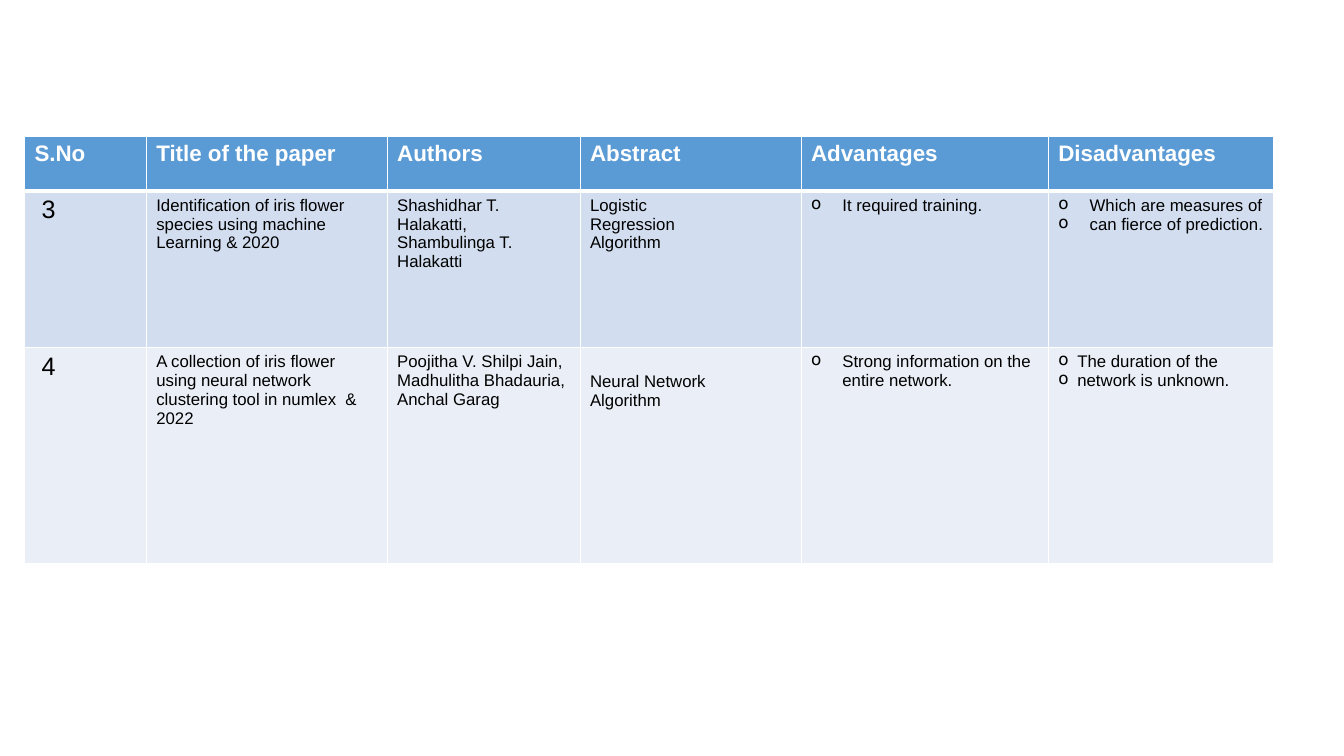
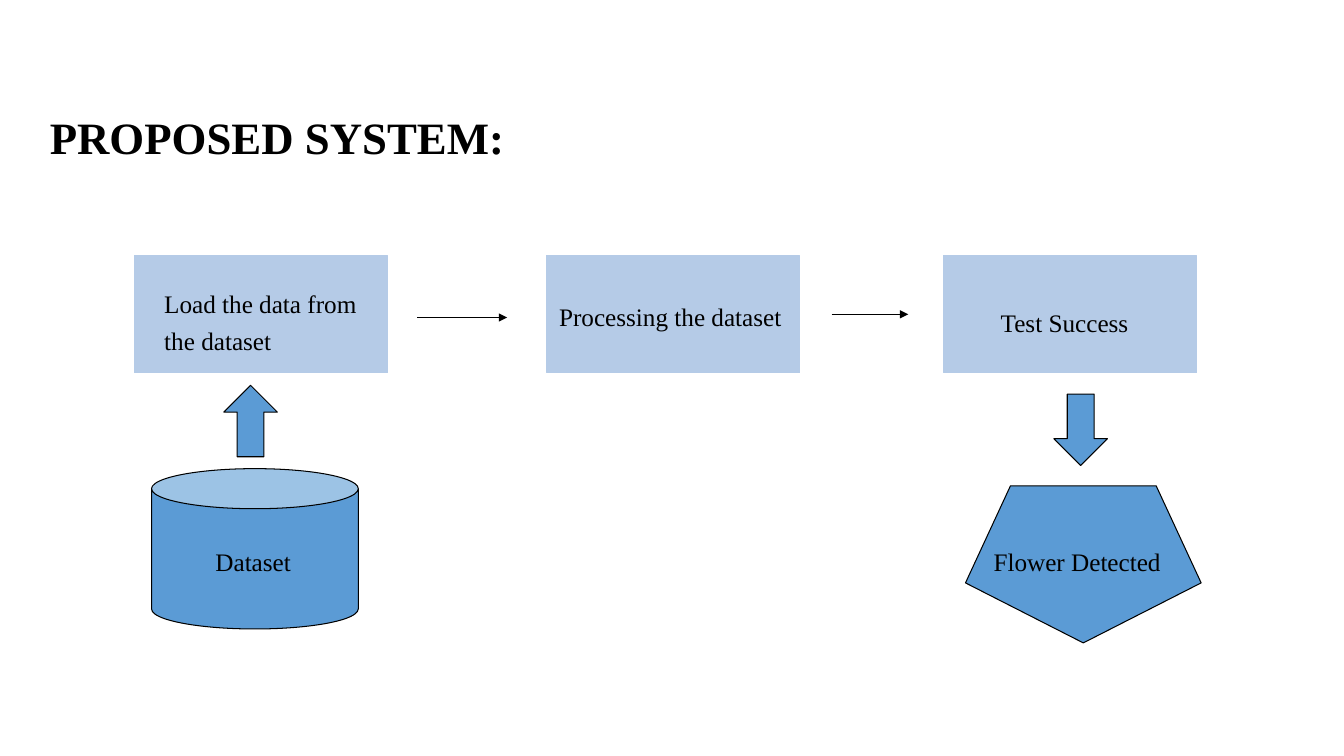
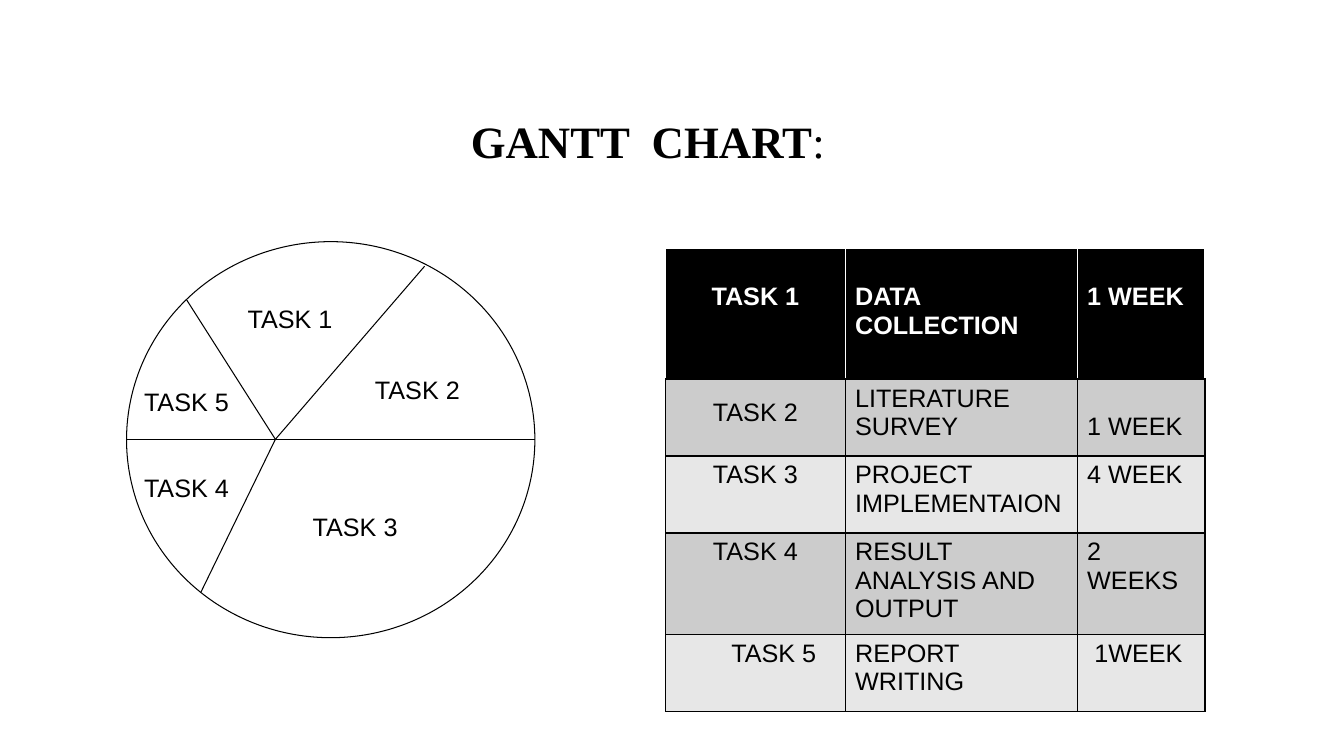
from dataclasses import dataclass

from lxml import etree
from pptx import Presentation
from pptx import util as u
from pptx.dml.color import RGBColor
from pptx.enum import shapes, text
from pptx.oxml import ns


class Theme:
    black = RGBColor(0x00, 0x00, 0x00)
    white = RGBColor(0xFF, 0xFF, 0xFF)
    blue = RGBColor(0x5B, 0x9B, 0xD5)
    pale_blue = RGBColor(0xB5, 0xCB, 0xE7)
    blue_bands = (RGBColor(0xD2, 0xDE, 0xEF), RGBColor(0xEA, 0xEF, 0xF7))
    grey_bands = (RGBColor(0xCC, 0xCC, 0xCC), RGBColor(0xE7, 0xE7, 0xE7))
    sans = "Arial"
    serif = "Times New Roman"
    title_size = 32
    label_size = 18
    header_size = 16
    small_size = 12
    line_width = 0.75


@dataclass
class Cell:
    text: str
    size: int = Theme.small_size
    left: float = 0.25
    top: float = 0.13
    hang: float = 0
    align: text.PP_ALIGN = text.PP_ALIGN.LEFT
    spacing: float = 1.0


class Deck:
    def __init__(self, theme):
        self.theme = theme
        self.presentation = Presentation()
        self.presentation.slide_width = u.Cm(33.87)
        self.presentation.slide_height = u.Cm(19.05)
        self.slide = None

    def add_slide(self, layout):
        layouts = self.presentation.slide_layouts
        self.slide = self.presentation.slides.add_slide(layouts.get_by_name(layout))

    def set_font(self, paragraph, size, name, color=None, bold=False):
        font = paragraph.font
        font.size, font.name, font.bold = u.Pt(size), name, bold
        font.color.rgb = color or self.theme.black

    def title(self, words, left, top, width, light_ending=""):
        shape = self.slide.shapes.title
        shape.left, shape.top = u.Cm(left), u.Cm(top)
        shape.width, shape.height = u.Cm(width), u.Cm(1.63)
        frame = shape.text_frame
        frame.auto_size = text.MSO_AUTO_SIZE.NONE
        frame.vertical_anchor = text.MSO_ANCHOR.TOP
        paragraph = frame.paragraphs[0]
        paragraph.alignment = text.PP_ALIGN.LEFT
        self.set_font(paragraph, self.theme.title_size, self.theme.serif, bold=True)
        paragraph.add_run().text = words
        if light_ending:
            run = paragraph.add_run()
            run.text = light_ending
            run.font.bold = False

    def label(self, words, left, top, width, height, font, spacing=1.0):
        box = self.slide.shapes.add_textbox(*map(u.Cm, (left, top, width, height)))
        box.text_frame.word_wrap = True
        paragraph = box.text_frame.paragraphs[0]
        paragraph.text = words
        paragraph.line_spacing = spacing
        self.set_font(paragraph, self.theme.label_size, font)

    def shape(self, kind, left, top, width, height, fill=None, line=None, rotation=0):
        shape = self.slide.shapes.add_shape(
            kind, *map(u.Cm, (left, top, width, height)))
        shape.shadow.inherit = False
        shape.rotation = rotation
        if fill is None:
            shape.fill.background()
        else:
            shape.fill.solid()
            shape.fill.fore_color.rgb = fill
        shape.line.color.rgb = line or self.theme.black
        shape.line.width = u.Pt(self.theme.line_width)

    def line(self, start, end, arrow=False):
        connector = self.slide.shapes.add_connector(
            shapes.MSO_CONNECTOR.STRAIGHT, *map(u.Cm, (*start, *end)))
        connector.line.color.rgb = self.theme.black
        connector.line.width = u.Pt(self.theme.line_width)
        properties = connector._element.spPr
        if arrow:
            etree.SubElement(properties.find(ns.qn("a:ln")),
                             ns.qn("a:tailEnd"), type="triangle")
        etree.SubElement(properties, ns.qn("a:effectLst"))

    def borders(self, cell, color, bottom_color, bottom_width):
        properties = cell._tc.get_or_add_tcPr()
        for side in "LRTB":
            is_bottom = side == "B"
            width = bottom_width if is_bottom else 1
            edge = etree.SubElement(
                properties, ns.qn(f"a:ln{side}"), w=str(u.Pt(width)))
            fill = etree.SubElement(edge, ns.qn("a:solidFill"))
            etree.SubElement(fill, ns.qn("a:srgbClr"),
                             val=str(bottom_color if is_bottom else color))

    def bullet(self, paragraph, hang):
        properties = paragraph._p.get_or_add_pPr()
        properties.set("marL", str(u.Cm(hang)))
        properties.set("indent", str(-u.Cm(hang)))
        mark = etree.Element(ns.qn("a:buChar"), char="o")
        properties.find(ns.qn("a:defRPr")).addprevious(mark)

    def fill_cell(self, cell, content, color, bold):
        cell.text = content.text
        cell.margin_left, cell.margin_top = u.Cm(content.left), u.Cm(content.top)
        for paragraph in cell.text_frame.paragraphs:
            paragraph.alignment = content.align
            paragraph.line_spacing = content.spacing
            self.set_font(paragraph, content.size, self.theme.sans, color, bold)
            if content.hang:
                self.bullet(paragraph, content.hang)

    def table(self, left, top, widths, heights, rows, header_fill, bands,
              rule, header_rule_width):
        frame = self.slide.shapes.add_table(
            len(rows), len(widths),
            *map(u.Cm, (left, top, sum(widths), sum(heights))))
        table = frame.table
        table.horz_banding = False
        for column, width in zip(table.columns, widths):
            column.width = u.Cm(width)
        for index, (row, height) in enumerate(zip(table.rows, heights)):
            row.height = u.Cm(height)
            header = index == 0
            fill = header_fill if header else bands[(index - 1) % len(bands)]
            for cell, content in zip(row.cells, rows[index]):
                self.borders(cell, self.theme.white if header else rule,
                             rule, header_rule_width if header else 1)
                cell.fill.solid()
                cell.fill.fore_color.rgb = fill
                color = self.theme.white if header else self.theme.black
                self.fill_cell(cell, content, color, header)


def add_literature_slide(deck):
    theme = deck.theme
    deck.add_slide("Blank")
    headings = ("S.No", "Title of the paper", "Authors", "Abstract",
                "Advantages", "Disadvantages")
    rows = [
        [Cell(heading, theme.header_size) for heading in headings],
        [
            Cell("3", theme.label_size, left=0.43),
            Cell("Identification of iris flower\nspecies using machine\n"
                 "Learning & 2020"),
            Cell("Shashidhar T. Halakatti,\nShambulinga T. Halakatti"),
            Cell("Logistic\nRegression\nAlgorithm"),
            Cell("It required training.", hang=0.79),
            Cell("Which are measures of\ncan fierce of prediction.", hang=0.79),
        ],
        [
            Cell("4", theme.label_size, left=0.43),
            Cell("A collection of iris flower\nusing neural network\n"
                 "clustering tool in numlex  & 2022"),
            Cell("Poojitha V. Shilpi Jain,\nMadhulitha Bhadauria,\nAnchal Garag"),
            Cell("Neural Network\nAlgorithm", top=0.63),
            Cell("Strong information on the entire network.", hang=0.79),
            Cell("The duration of the\nnetwork is unknown.", hang=0.48),
        ],
    ]
    deck.table(0.62, 3.44, (3.07, 6.07, 4.86, 5.57, 6.23, 5.68),
               (1.37, 3.94, 5.46), rows, theme.blue, theme.blue_bands,
               theme.white, 3)


def add_system_slide(deck):
    theme = deck.theme
    kinds = shapes.MSO_SHAPE
    deck.add_slide("Title Only")
    deck.title("PROPOSED SYSTEM:", 1, 2.64, 25.65)

    for left in (3.39, 13.78, 23.78):
        deck.shape(kinds.RECTANGLE, left, 6.45, 6.38, 2.95,
                   theme.pale_blue, theme.pale_blue)
    deck.shape(kinds.CAN, 3.82, 11.81, 5.21, 4.04, theme.blue)
    deck.shape(kinds.REGULAR_PENTAGON, 24.33, 12.24, 5.94, 3.96,
               theme.blue, rotation=180)
    for kind, left, top in ((kinds.UP_ARROW, 5.64, 9.71),
                            (kinds.DOWN_ARROW, 26.56, 9.93)):
        deck.shape(kind, left, top, 1.35, 1.8, theme.blue)

    deck.line((10.52, 8), (12.78, 8), arrow=True)
    deck.line((20.96, 7.92), (22.89, 7.92), arrow=True)

    for words, left, top, width, height in (
        ("Load the data from the dataset", 3.89, 7, 5.89, 2.03),
        ("Processing the dataset", 13.84, 7.32, 7.49, 1.09),
        ("Test Success", 24.97, 7.47, 4.55, 1.09),
        ("Dataset", 5.18, 13.49, 4.88, 1.09),
        ("Flower Detected", 24.79, 13.49, 5, 1.09),
    ):
        deck.label(words, left, top, width, height, theme.serif, 1.2)


def add_schedule_slide(deck):
    theme = deck.theme
    size = theme.label_size
    center = text.PP_ALIGN.CENTER
    deck.add_slide("Title Only")
    deck.title("GANTT  CHART", 11.61, 2.74, 9.93, light_ending=":")

    deck.shape(shapes.MSO_SHAPE.OVAL, 3.19, 6.09, 10.29, 9.98)
    hub = (6.94, 11.07)
    deck.line((3.19, 11.07), (13.48, 11.07))
    for rim in ((4.7, 7.55), (10.7, 6.71), (5.06, 14.93)):
        deck.line(hub, rim)
    for words, left, top in (
        ("TASK 1", 5.99, 7.52),
        ("TASK 2", 9.2, 9.32),
        ("TASK 3", 7.63, 12.75),
        ("TASK 4", 3.38, 11.78),
        ("TASK 5", 3.38, 9.6),
    ):
        deck.label(words, left, top, 2.74, 1.02, theme.sans)

    rows = [
        [Cell("TASK 1", size, top=0.86, align=center),
         Cell("DATA COLLECTION", size, top=0.86),
         Cell("1 WEEK", size, top=0.86)],
        [Cell("TASK 2", size, align=center, spacing=1.5),
         Cell("LITERATURE SURVEY", size),
         Cell("1 WEEK", size, top=0.86)],
        [Cell("TASK 3", size, align=center),
         Cell("PROJECT IMPLEMENTAION", size),
         Cell("4 WEEK", size)],
        [Cell("TASK 4", size, align=center),
         Cell("RESULT ANALYSIS AND\nOUTPUT", size),
         Cell("2 WEEKS", size)],
        [Cell("TASK 5", size, left=1.65),
         Cell("REPORT WRITING", size),
         Cell("1WEEK", size, left=0.43)],
    ]
    deck.table(16.78, 6.27, (4.52, 5.85, 3.22), (3.28, 1.94, 1.94, 2.55, 1.94),
               rows, theme.black, theme.grey_bands, theme.black, 1)


def main():
    deck = Deck(Theme())
    add_literature_slide(deck)
    add_system_slide(deck)
    add_schedule_slide(deck)
    deck.presentation.save("out.pptx")


if __name__ == "__main__":
    main()
